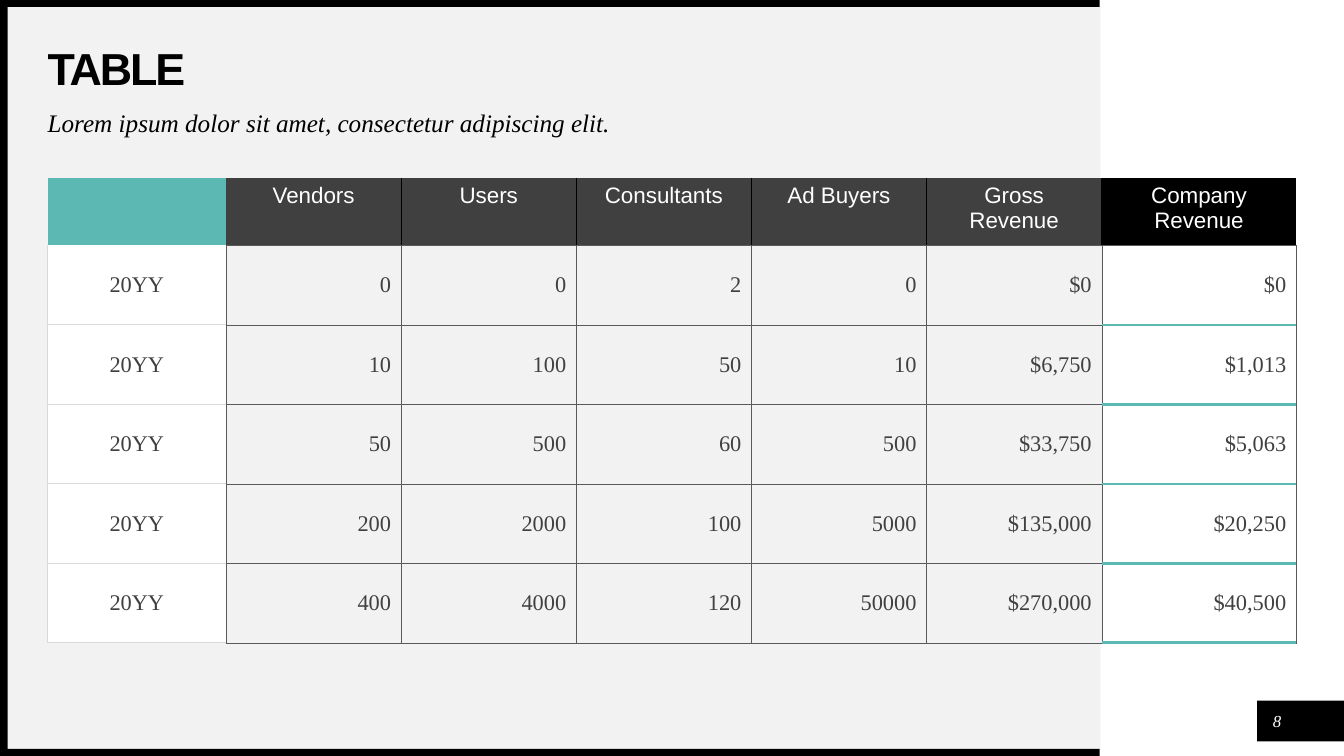
from dataclasses import dataclass

from lxml.etree import SubElement
from pptx import Presentation
from pptx.dml.color import RGBColor
from pptx.enum.shapes import MSO_SHAPE
from pptx.enum.text import MSO_ANCHOR, PP_ALIGN
from pptx.oxml.ns import qn
from pptx.util import Pt


@dataclass(frozen=True)
class Theme:
    black: str = "000000"
    white: str = "FFFFFF"
    panel: str = "F2F2F2"
    teal: str = "5CB8B3"
    dark: str = "404040"
    rule: str = "595959"
    pale: str = "D9D9D9"
    sans: str = "Arial"
    serif: str = "Times New Roman"
    title: int = 32
    lead: int = 18
    body: int = 16
    small: int = 12


look = Theme()


def write(para, text, face, size, color, bold=False, slant=False, track=0):
    """Add one run; track is the letter spacing in points."""
    run = para.add_run()
    run.text = text
    font = run.font
    font.name, font.size = face, Pt(size)
    font.bold, font.italic = bold, slant
    font.color.rgb = RGBColor.from_string(color)
    if track:
        run._r.get_or_add_rPr().set("spc", str(int(track * 100)))


def textbox(left, top, width, height, align=PP_ALIGN.LEFT, anchor=MSO_ANCHOR.TOP):
    """Add an empty text box and return its first paragraph."""
    frame = slide.shapes.add_textbox(Pt(left), Pt(top), Pt(width), Pt(height)).text_frame
    frame.word_wrap = True
    frame.vertical_anchor = anchor
    frame.margin_left = frame.margin_right = frame.margin_top = frame.margin_bottom = 0
    para = frame.paragraphs[0]
    para.alignment = align
    return para


deck = Presentation()
deck.slide_width, deck.slide_height = Pt(960), Pt(540)
slide = deck.slides.add_slide(deck.slide_layouts[6])

# Panel, page tab and frame
for left, top, width, height, color in (
    (5.5, 5, 780.5, 530, look.panel),
    (898, 500.5, 62, 29, look.black),
    (0, 535, 785.5, 5, look.black),
    (0, 0, 785.5, 5, look.black),
    (0, 0, 5.5, 540, look.black),
):
    block = slide.shapes.add_shape(MSO_SHAPE.RECTANGLE, Pt(left), Pt(top), Pt(width), Pt(height))
    block.shadow.inherit = False
    block.fill.solid()
    block.fill.fore_color.rgb = RGBColor.from_string(color)
    block.line.fill.background()

# Texts
para = textbox(34, 34, 724, 34, anchor=MSO_ANCHOR.MIDDLE)
para.line_spacing = 0.9
write(para, "TABLE", look.sans, look.title, look.black, bold=True, track=-1.5)

para = textbox(34, 79, 724, 28)
para.line_spacing = 0.9
write(para, "Lorem ipsum dolor sit amet, consectetur adipiscing elit.",
      look.serif, look.lead, look.black, slant=True)

para = textbox(901.5, 504, 21.5, 21.5, PP_ALIGN.CENTER, MSO_ANCHOR.MIDDLE)
write(para, "8", look.serif, look.small, look.white, slant=True)

# Table
data = (
    ("", "Vendors", "Users", "Consultants", "Ad Buyers", "Gross Revenue", "Company Revenue"),
    ("20YY", "0", "0", "2", "0", "$0", "$0"),
    ("20YY", "10", "100", "50", "10", "$6,750", "$1,013"),
    ("20YY", "50", "500", "60", "500", "$33,750", "$5,063"),
    ("20YY", "200", "2000", "100", "5000", "$135,000", "$20,250"),
    ("20YY", "400", "4000", "120", "50000", "$270,000", "$40,500"),
)
widths = [127.5] + [125.1] * 5 + [139]
heights = [48] + [56.8] * 5
last = len(widths) - 1
table = slide.shapes.add_table(
    len(heights), len(widths), Pt(34), Pt(127.3), Pt(sum(widths)), Pt(sum(heights))).table
table.first_row = table.horz_banding = False
for col, width in zip(table.columns, widths):
    col.width = Pt(width)
for row, height in zip(table.rows, heights):
    row.height = Pt(height)

thin, pale = (look.rule, 0.25), (look.pale, 1)
split, accent = (look.black, 1), (look.teal, 2.25)

for r, line in enumerate(data):
    for c, text in enumerate(line):
        cell = table.cell(r, c)
        face, color, align = look.serif, look.dark, PP_ALIGN.RIGHT
        fill, edges = None, dict.fromkeys("LRTB", thin)
        if r == 0:
            face, color, align = look.sans, look.white, PP_ALIGN.CENTER
            fill = {0: look.teal, last: look.black}.get(c, look.dark)
            edges = {}
            if c > 0:
                edges["B"] = thin
            if c > 1:
                edges["L"] = split
            if 0 < c < last:
                edges["R"] = split
        elif c == 0:
            align, fill = PP_ALIGN.CENTER, look.white
            edges = {"L": pale, "R": thin, "B": pale}
            if r > 1:
                edges["T"] = pale
        elif c == last:
            edges["B"] = accent
            if r > 1:
                edges["T"] = accent
        elif c == last - 1:
            fill = look.panel

        cell.vertical_anchor = MSO_ANCHOR.MIDDLE if r else MSO_ANCHOR.TOP
        props = cell._tc.get_or_add_tcPr()
        for side in "LRTB":
            edge = SubElement(props, qn(f"a:ln{side}"))
            if side in edges:
                tint, weight = edges[side]
                edge.set("w", str(Pt(weight)))
                solid = SubElement(edge, qn("a:solidFill"))
                SubElement(solid, qn("a:srgbClr")).set("val", tint)
            else:
                SubElement(edge, qn("a:noFill"))
        if fill:
            cell.fill.solid()
            cell.fill.fore_color.rgb = RGBColor.from_string(fill)
        else:
            cell.fill.background()
        para = cell.text_frame.paragraphs[0]
        para.alignment = align
        if text:
            write(para, text, face, look.body, color)

deck.save("out.pptx")
